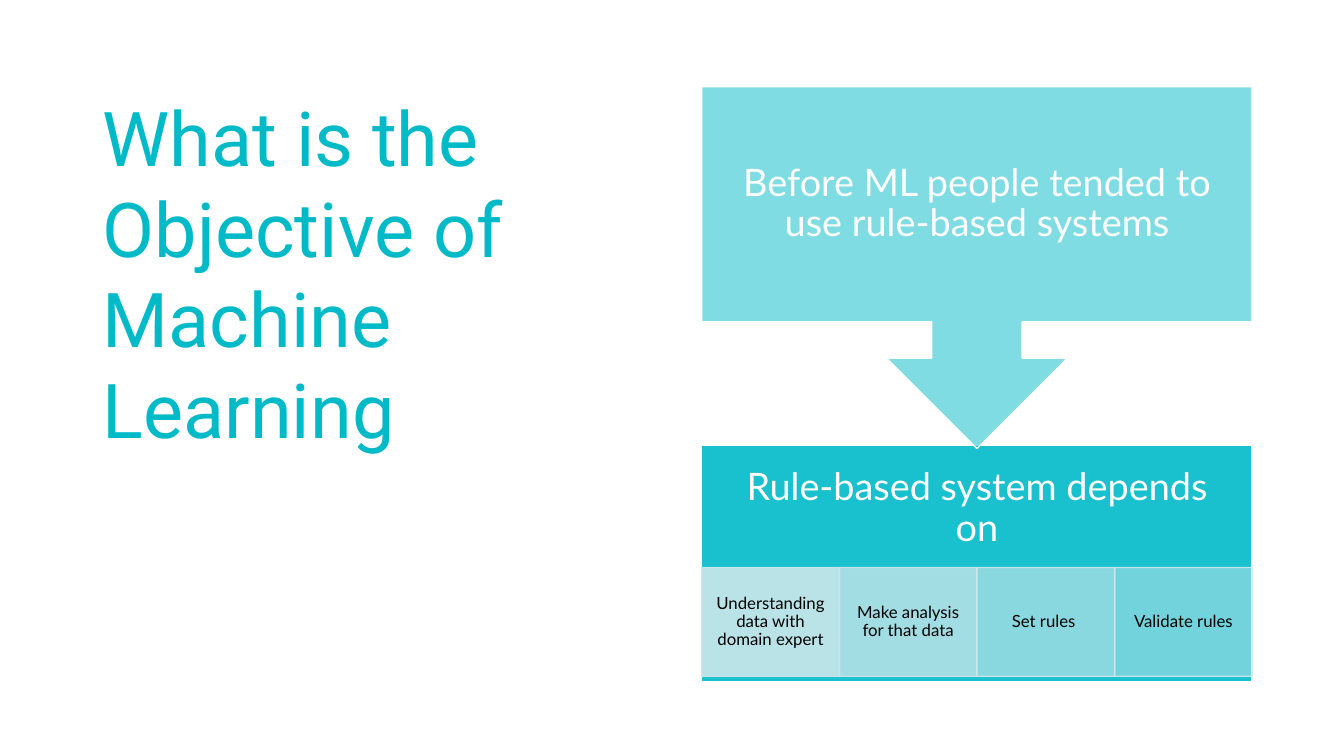
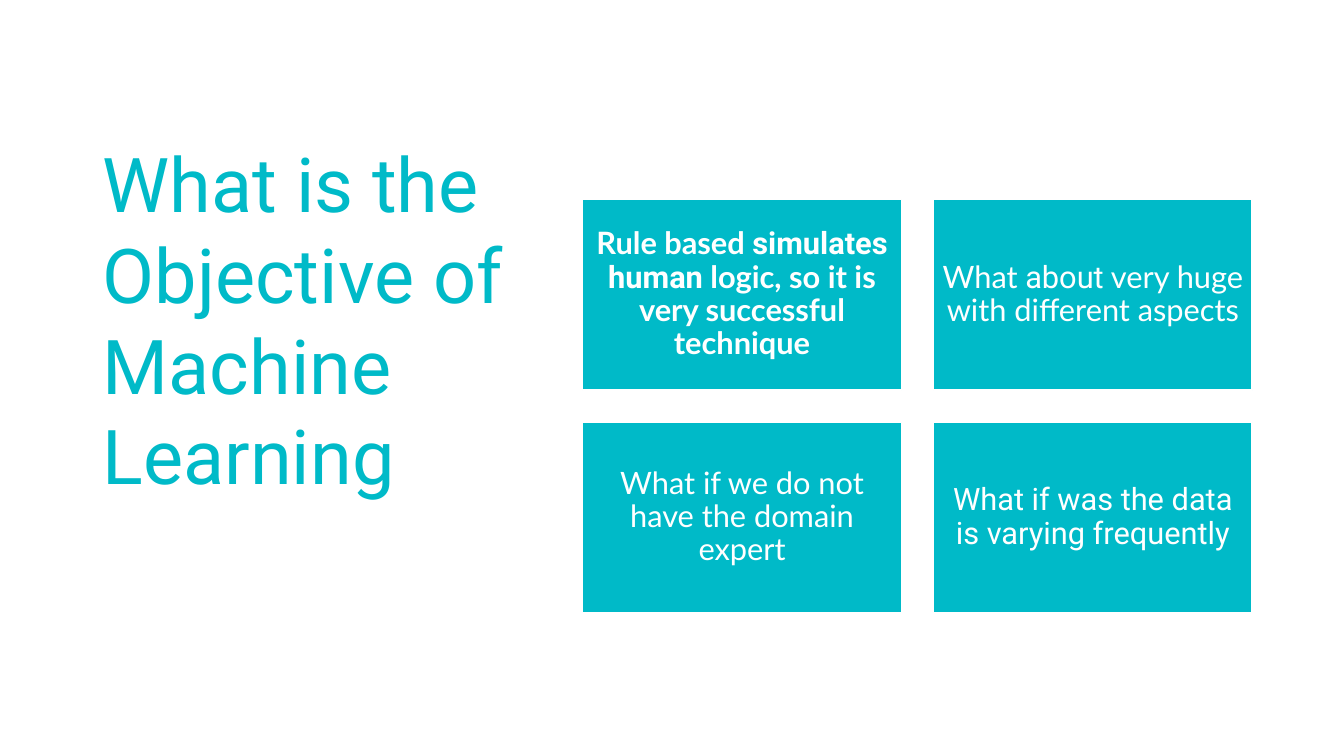
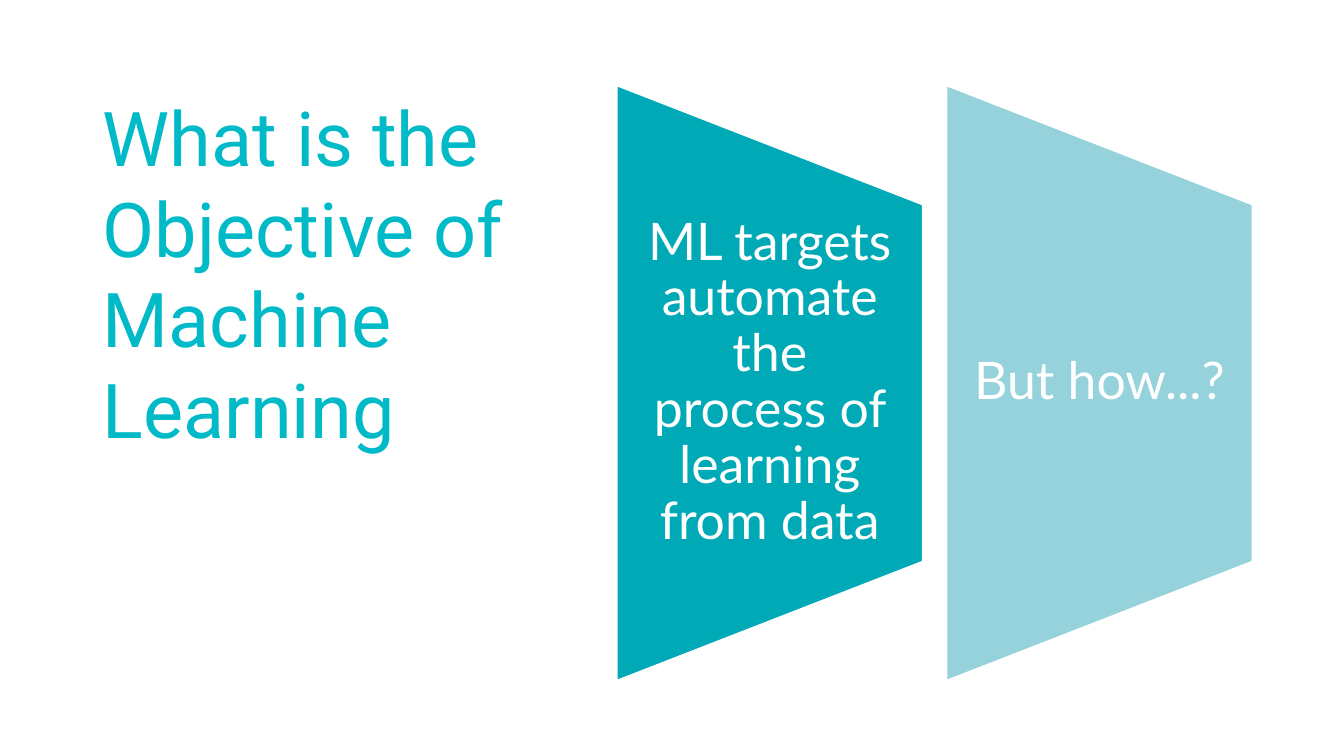
from lxml import etree
from pptx import Presentation
from pptx.dml.color import RGBColor
from pptx.enum.shapes import MSO_SHAPE as Preset
from pptx.enum.text import MSO_ANCHOR as Anchor, MSO_AUTO_SIZE as AutoSize, PP_ALIGN as Align
from pptx.oxml.ns import qn
from pptx.util import Inches, Pt

# Shared look
TEAL = RGBColor(0x00, 0xBA, 0xC8)
DEEP_TEAL = RGBColor(0x00, 0xA9, 0xB6)
SOFT_TEAL = RGBColor(0x95, 0xD2, 0xDB)
PALE_TEAL = RGBColor(0xCC, 0xE7, 0xEB)
WHITE = RGBColor(0xFF, 0xFF, 0xFF)
BLACK = RGBColor(0x00, 0x00, 0x00)
TITLE_FONT, BODY_FONT = "Roboto", "Lato"
TITLE = "What is the Objective of Machine Learning"
TITLE_LEFT = 0.92
RIGHT_EDGE = 12.42

# Content: slide 1
BEFORE = "Before ML people tended to use rule-based systems"
DEPENDS = "Rule-based system depends on"
STEPS = [
    ("Understanding data with domain expert", 90),
    ("Make analysis for that data", 77),
    ("Set rules ", 63),
    ("Validate rules", 50),
]

# Content: slide 2, each card a list of (text, font)
CARDS = [
    [("Rule based ", BODY_FONT), ("simulates human", TITLE_FONT),
     (" logic, so it is very successful technique", BODY_FONT)],
    [("What", BODY_FONT), (" about", TITLE_FONT),
     (" very huge with different aspects", BODY_FONT)],
    [("What if we do not have the domain expert", BODY_FONT)],
    [("What if was the data is varying frequently", TITLE_FONT)],
]

# Content: slide 3
PANELS = [
    ("ML targets automate the process of learning from data", DEEP_TEAL),
    ("But how...?", SOFT_TEAL),
]


def set_alpha(format_fill, percent):
    """Make a solid colour see-through."""
    color = format_fill._xPr.find(qn("a:solidFill"))[0]
    etree.SubElement(color, qn("a:alpha"), val=str(percent * 1000))


def add_page(deck, top, width, height):
    page = deck.slides.add_slide(deck.slide_layouts[5])
    title = page.shapes.title
    place = {"left": TITLE_LEFT, "top": top, "width": width, "height": height}
    for name, value in place.items():
        setattr(title, name, Inches(value))
    frame = title.text_frame
    for name, value in {"auto_size": AutoSize.NONE, "word_wrap": True,
                        "vertical_anchor": Anchor.TOP}.items():
        setattr(frame, name, value)
    write(frame.paragraphs[0], [(TITLE, TITLE_FONT)], 54, TEAL)
    frame.paragraphs[0].alignment = Align.LEFT
    return page


def write(para, runs, size, color, bold=False):
    for text, font in runs:
        span = para.add_run()
        span.text = text
        span.font.color.rgb = color
        for name, value in {"name": font, "size": Pt(size), "bold": bold}.items():
            setattr(span.font, name, value)


def fill_text(box, runs, size, insets, color=WHITE, bold=False):
    """Write centred text; insets are left, top, right, bottom."""
    frame = box.text_frame
    frame.word_wrap = True
    frame.vertical_anchor = Anchor.MIDDLE
    for side, inset in zip(("left", "top", "right", "bottom"), insets):
        setattr(frame, f"margin_{side}", Inches(inset))
    para = frame.paragraphs[0]
    para.alignment = Align.CENTER
    para.line_spacing = 0.9
    write(para, runs, size, color, bold)


def add_block(page, preset, place, fill, alpha=100, line=WHITE, line_alpha=100):
    block = page.shapes.add_shape(preset, *map(Inches, place))
    block.shadow.inherit = False
    block.fill.solid()
    block.fill.fore_color.rgb = fill
    block.line.color.rgb = line
    block.line.width = Pt(1)
    for target, percent in ((block.fill, alpha), (block.line.fill, line_alpha)):
        if percent < 100:
            set_alpha(target, percent)
    return block


def build_rules(deck):
    page = add_page(deck, 0.85, 5.46, 5.9)
    left, width, pad = 6.96, 5.46, 0.21
    step_top, step_height = 5.63, 1.08

    # Lower box, its heading kept above the steps
    lower = add_block(page, Preset.RECTANGLE, (left, 4.42, width, 2.34), TEAL, 90)
    fill_text(lower, [(DEPENDS, BODY_FONT)], 27, (pad, pad, pad, pad + step_height))

    # Row of steps
    step_width = width / len(STEPS)
    for index, (text, alpha) in enumerate(STEPS):
        place = (left + index * step_width, step_top, step_width, step_height)
        step = add_block(page, Preset.RECTANGLE, place, PALE_TEAL, alpha, PALE_TEAL, 90)
        fill_text(step, [(text, BODY_FONT)], 12, (0.09, 0.02, 0.09, 0.02), BLACK)

    # Upper box with its arrow
    upper = add_block(page, Preset.DOWN_ARROW_CALLOUT, (left, 0.86, width, 3.59), TEAL, 50)
    fill_text(upper, [(BEFORE, BODY_FONT)], 27, [pad] * 4)


def build_cards(deck):
    page = add_page(deck, 1.31, 5.75, 5.44)
    width, height, gap, top, columns = 3.16, 1.89, 0.32, 1.98, 2
    left = RIGHT_EDGE - columns * width - (columns - 1) * gap
    for index, runs in enumerate(CARDS):
        row, column = divmod(index, columns)
        place = (left + column * (width + gap), top + row * (height + gap), width, height)
        card = add_block(page, Preset.RECTANGLE, place, TEAL)
        fill_text(card, runs, 22, [0.09] * 4, bold=index == 0)


def build_panels(deck):
    page = add_page(deck, 0.85, 4.41, 5.9)
    left, top, width, height, pitch = 6.12, 0.85, 3.03, 5.9, 3.27
    text_height = height * 0.6
    middle = top + height / 2
    for index, (text, color) in enumerate(PANELS):
        panel_left = left + index * pitch
        # Lying on its side, so length and breadth swap about the centre
        place = (panel_left + (width - height) / 2, middle - width / 2, height, width)
        panel = add_block(page, Preset.FLOWCHART_MANUAL_OPERATION, place, color)
        panel.rotation = 270
        label = page.shapes.add_textbox(*map(Inches, (
            panel_left, middle - text_height / 2, width, text_height)))
        fill_text(label, [(text, BODY_FONT)], 37, (0.26, 0, 0.26, 0))


def main():
    deck = Presentation()
    deck.slide_width, deck.slide_height = Inches(13.33), Inches(7.5)
    for build in (build_rules, build_cards, build_panels):
        build(deck)
    deck.save("out.pptx")


if __name__ == "__main__":
    main()
